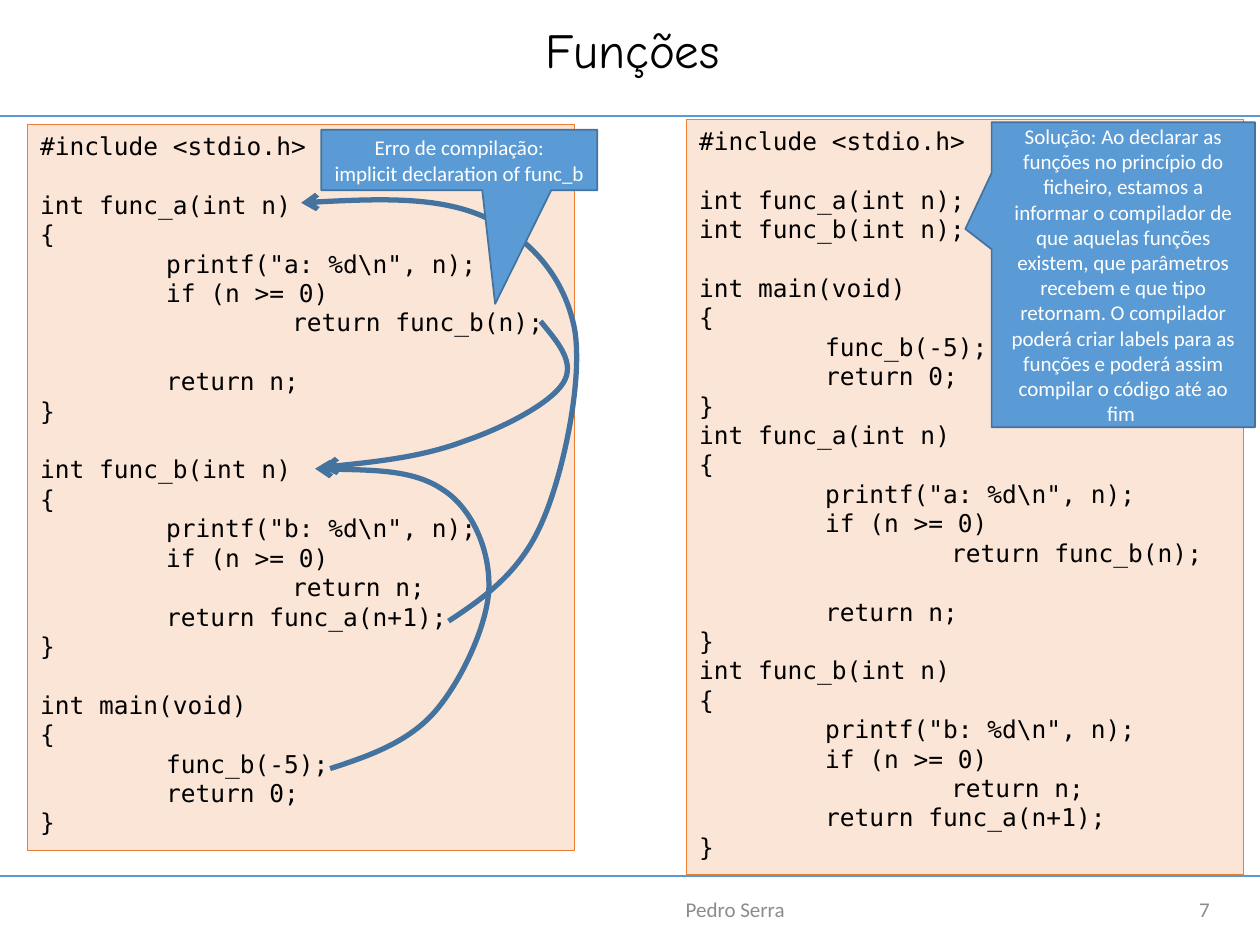
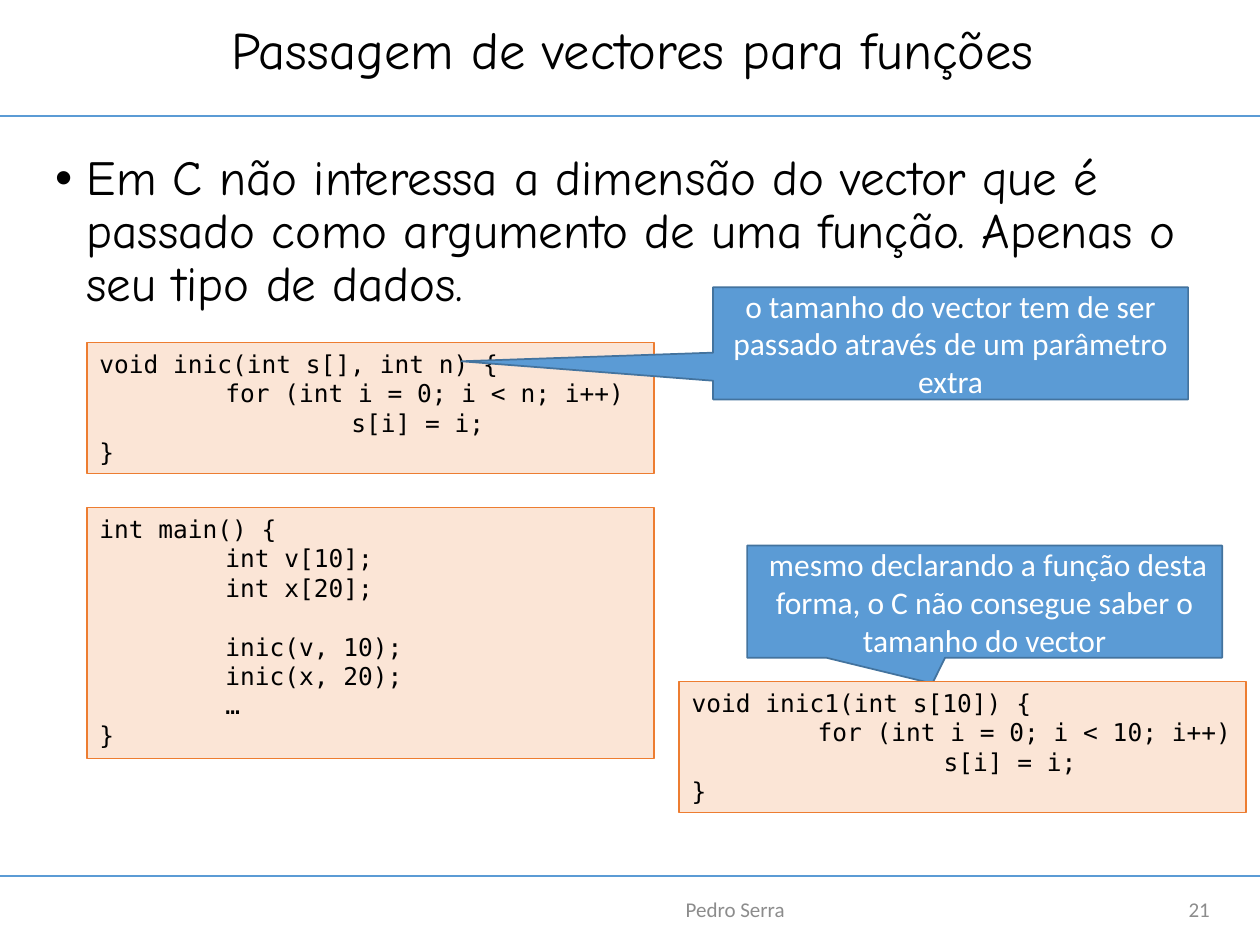
from dataclasses import dataclass
from typing import Any

from lxml.etree import SubElement
from pptx import Presentation
from pptx.dml.color import RGBColor
from pptx.enum.shapes import MSO_CONNECTOR as Connector, MSO_SHAPE as Preset
from pptx.enum.text import MSO_ANCHOR as Anchor, PP_ALIGN as Align
from pptx.oxml.ns import qn
from pptx.util import Inches, Pt

COLORS = {
    "ink": "000000",
    "white": "FFFFFF",
    "muted": "8C8C8C",
    "rule": "5B9BD5",
    "outline": "43739E",
    "code": "FBE5D6",
    "code_edge": "ED7D31",
}
CODE_GAP = Pt(16.8)
TAB_STOPS = (1, 2)
AUTHOR = "Pedro Serra"
RULE_TOPS = (0.92, 6.95)

FUNC_A = """int func_a(int n)
{
	printf("a: %d\\n", n);
	if (n >= 0)
		return func_b(n);

	return n;
}"""
FUNC_B = """int func_b(int n)
{
	printf("b: %d\\n", n);
	if (n >= 0)
		return n;
	return func_a(n+1);
}"""
MAIN = """int main(void)
{
	func_b(-5);
	return 0;
}"""
INCLUDE = "#include <stdio.h>"
PROTOTYPES = "int func_a(int n);\nint func_b(int n);"
INIC = """void inic(int s[], int n) {
	for (int i = 0; i < n; i++)
		s[i] = i;
}"""
INIC_MAIN = """int main() {
	int v[10];
	int x[20];

	inic(v, 10);
	inic(x, 20);
	…
}"""
INIC_FIXED = """void inic1(int s[10]) {
	for (int i = 0; i < 10; i++)
		s[i] = i;
}"""
SOLUTION = (
    "Solução: Ao declarar as funções no princípio do ficheiro, estamos a informar "
    "o compilador de que aquelas funções existem, que parâmetros recebem e que tipo "
    "retornam. O compilador poderá criar labels para as funções e poderá assim "
    "compilar o código até ao fim "
)


@dataclass(frozen=True)
class Area:
    left: float
    top: float
    width: float
    height: float

    def lengths(self) -> list[int]:
        return [Inches(n) for n in (self.left, self.top, self.width, self.height)]


@dataclass(frozen=True)
class TextStyle:
    font: str
    size: float
    color: str
    align: Any = Align.LEFT
    anchor: Any = Anchor.MIDDLE
    spacing: float = 1.0


@dataclass(frozen=True)
class CodeBox:
    area: Area
    code: str


@dataclass(frozen=True)
class Callout:
    area: Area
    text: str
    tip: tuple[float, float]
    size: float


@dataclass(frozen=True)
class CallArrow:
    points: tuple[tuple[float, float], ...]


@dataclass(frozen=True)
class Lesson:
    title: str
    title_size: float
    number: str
    items: tuple[Any, ...]
    bullet: str = ""


CODE_STYLE = TextStyle("DejaVu Sans Mono", 14, "ink", anchor=Anchor.TOP)
BODY_STYLE = TextStyle("Comic Neue", 28, "ink", anchor=Anchor.TOP, spacing=0.9)
TITLE_AREA = Area(0.34, 0, 9.36, 0.84)
BODY_AREA = Area(0.34, 1.17, 9.36, 1.56)
AUTHOR_AREA = Area(2.94, 7.08, 5.79, 0.27)
NUMBER_AREA = Area(8.82, 7.08, 0.88, 0.27)


def color(name: str) -> RGBColor:
    return RGBColor.from_string(COLORS[name])


def apply(target: Any, values: dict[str, Any]) -> None:
    for name, value in values.items():
        setattr(target, name, value)


def set_line(shape: Any, name: str, width: float) -> None:
    shape.line.color.rgb = color(name)
    shape.line.width = Pt(width)


def add_bullet(para: Any) -> None:
    props = para._p.get_or_add_pPr()
    props.set("marL", str(Inches(0.25)))
    props.set("indent", str(Inches(-0.25)))
    SubElement(props, qn("a:buFont"), typeface="Arial")
    SubElement(props, qn("a:buChar"), char="•")


def add_tabs(para: Any) -> None:
    stops = SubElement(para._p.get_or_add_pPr(), qn("a:tabLst"))
    for stop in TAB_STOPS:
        SubElement(stops, qn("a:tab"), pos=str(Inches(stop)), algn="l")


def write(shape: Any, text: str, style: TextStyle, bullet: bool = False) -> None:
    frame = shape.text_frame
    apply(frame, {"word_wrap": True, "vertical_anchor": style.anchor})
    para = frame.paragraphs[0]
    after_gap = False
    for index, line in enumerate(text.split("\n")):
        if not line:
            after_gap = True
            continue
        if index:
            para = frame.add_paragraph()
        if bullet:
            add_bullet(para)
        if line.startswith("\t"):
            add_tabs(para)
        apply(para, {"alignment": style.align, "line_spacing": style.spacing})
        if after_gap:
            para.space_before = CODE_GAP
            after_gap = False
        span = para.add_run()
        span.text = line
        apply(span.font, {"name": style.font, "size": Pt(style.size)})
        span.font.color.rgb = color(style.color)


def add_text(page: Any, area: Area, text: str, style: TextStyle, bullet: bool = False) -> None:
    write(page.shapes.add_textbox(*area.lengths()), text, style, bullet)


def add_panel(page: Any, preset: Any, area: Area, fill: str, edge: str, width: float) -> Any:
    box = page.shapes.add_shape(preset, *area.lengths())
    box.shadow.inherit = False
    box.fill.solid()
    box.fill.fore_color.rgb = color(fill)
    set_line(box, edge, width)
    return box


def draw_code(page: Any, item: CodeBox) -> None:
    box = add_panel(page, Preset.RECTANGLE, item.area, "code", "code_edge", 0.75)
    write(box, item.code, CODE_STYLE)


def draw_callout(page: Any, item: Callout) -> None:
    box = add_panel(page, Preset.RECTANGULAR_CALLOUT, item.area, "rule", "outline", 1)
    for index, value in enumerate(item.tip):
        box.adjustments[index] = value
    write(box, item.text, TextStyle("Calibri", item.size, "white", Align.CENTER))


def draw_arrow(page: Any, item: CallArrow) -> None:
    start, *others = [(Inches(x), Inches(y)) for x, y in item.points]
    builder = page.shapes.build_freeform(*start)
    builder.add_line_segments(others, close=False)
    curve = builder.convert_to_shape()
    curve.shadow.inherit = False
    curve.fill.background()
    set_line(curve, "outline", 3)
    SubElement(curve.line._get_or_add_ln(), qn("a:tailEnd"), type="arrow")
    segments = list(curve._element.iter(qn("a:lnTo")))
    outline = segments[0].getparent()
    for index in range(0, len(segments), 3):
        bezier = SubElement(outline, qn("a:cubicBezTo"))
        for segment in segments[index:index + 3]:
            bezier.append(segment[0])
            outline.remove(segment)


def draw_rule(page: Any, top: float) -> None:
    rule = page.shapes.add_connector(
        Connector.STRAIGHT, Inches(0), Inches(top), Inches(10), Inches(top)
    )
    set_line(rule, "rule", 1.25)
    SubElement(rule._element.spPr, qn("a:effectLst"))


DRAW = {CodeBox: draw_code, Callout: draw_callout, CallArrow: draw_arrow}


def build_lesson(deck: Any, lesson: Lesson) -> None:
    page = deck.slides.add_slide(deck.slide_layouts[6])
    for top in RULE_TOPS:
        draw_rule(page, top)
    title_style = TextStyle("Comic Neue", lesson.title_size, "ink", Align.CENTER, spacing=0.9)
    add_text(page, TITLE_AREA, lesson.title, title_style)
    if lesson.bullet:
        add_text(page, BODY_AREA, lesson.bullet, BODY_STYLE, bullet=True)
    for area, text, align in (
        (NUMBER_AREA, lesson.number, Align.RIGHT),
        (AUTHOR_AREA, AUTHOR, Align.CENTER),
    ):
        add_text(page, area, text, TextStyle("Calibri", 12, "muted", align))
    for item in lesson.items:
        DRAW[type(item)](page, item)


LESSONS = (
    Lesson("Funções", 28, "7", (
        CodeBox(
            Area(5.45, 0.95, 4.42, 5.99),
            f"{INCLUDE}\n\n{PROTOTYPES}\n\n{MAIN}\n{FUNC_A}\n{FUNC_B}",
        ),
        CodeBox(
            Area(0.22, 0.99, 4.34, 5.76),
            "\n\n".join((INCLUDE, FUNC_A, FUNC_B, MAIN)),
        ),
        CallArrow((
            (2.62, 6.1), (2.93, 6), (3.24, 5.89), (3.45, 5.65),
            (3.66, 5.41), (3.87, 4.96), (3.88, 4.67),
            (3.89, 4.37), (3.75, 4.04), (3.52, 3.89),
            (3.29, 3.73), (2.9, 3.73), (2.5, 3.72),
        )),
        CallArrow((
            (3.56, 4.93), (3.85, 4.74), (4.13, 4.54), (4.3, 4.15),
            (4.47, 3.77), (4.63, 3.01), (4.56, 2.61),
            (4.48, 2.2), (4.21, 1.89), (3.84, 1.72),
            (3.48, 1.56), (2.93, 1.58), (2.39, 1.61),
        )),
        CallArrow((
            (4.29, 2.55), (4.43, 2.72), (4.57, 2.88), (4.47, 3.04),
            (4.37, 3.2), (4.01, 3.39), (3.69, 3.5),
            (3.37, 3.62), (2.96, 3.67), (2.55, 3.71),
        )),
        Callout(
            Area(2.55, 1.03, 2.19, 0.48),
            "Erro de compilação:\nimplicit declaration of func_b",
            (0.13, 2.38), 12,
        ),
        Callout(Area(7.87, 0.97, 2.09, 2.42), SOLUTION, (-0.6, -0.15), 12),
    )),
    Lesson("Passagem de vectores para funções", 30, "21", (
        CodeBox(Area(0.69, 2.72, 4.5, 1.04), INIC),
        CodeBox(Area(0.69, 4.03, 4.5, 1.99), INIC_MAIN),
        Callout(
            Area(5.66, 2.28, 3.77, 0.89),
            "o tamanho do vector tem de ser passado através de um parâmetro extra",
            (-1.03, 0.16), 18,
        ),
        Callout(
            Area(5.93, 4.33, 3.77, 0.89),
            " mesmo declarando a função desta forma, o C não consegue saber o "
            "tamanho do vector",
            (-0.11, 0.73), 18,
        ),
        CodeBox(Area(5.39, 5.41, 4.5, 1.04), INIC_FIXED),
    ), "Em C não interessa a dimensão do vector que é passado como argumento de uma "
       "função. Apenas o seu tipo de dados."),
)


def main() -> None:
    deck = Presentation()
    apply(deck, {"slide_width": Inches(10), "slide_height": Inches(7.5)})
    for lesson in LESSONS:
        build_lesson(deck, lesson)
    deck.save("out.pptx")


if __name__ == "__main__":
    main()
